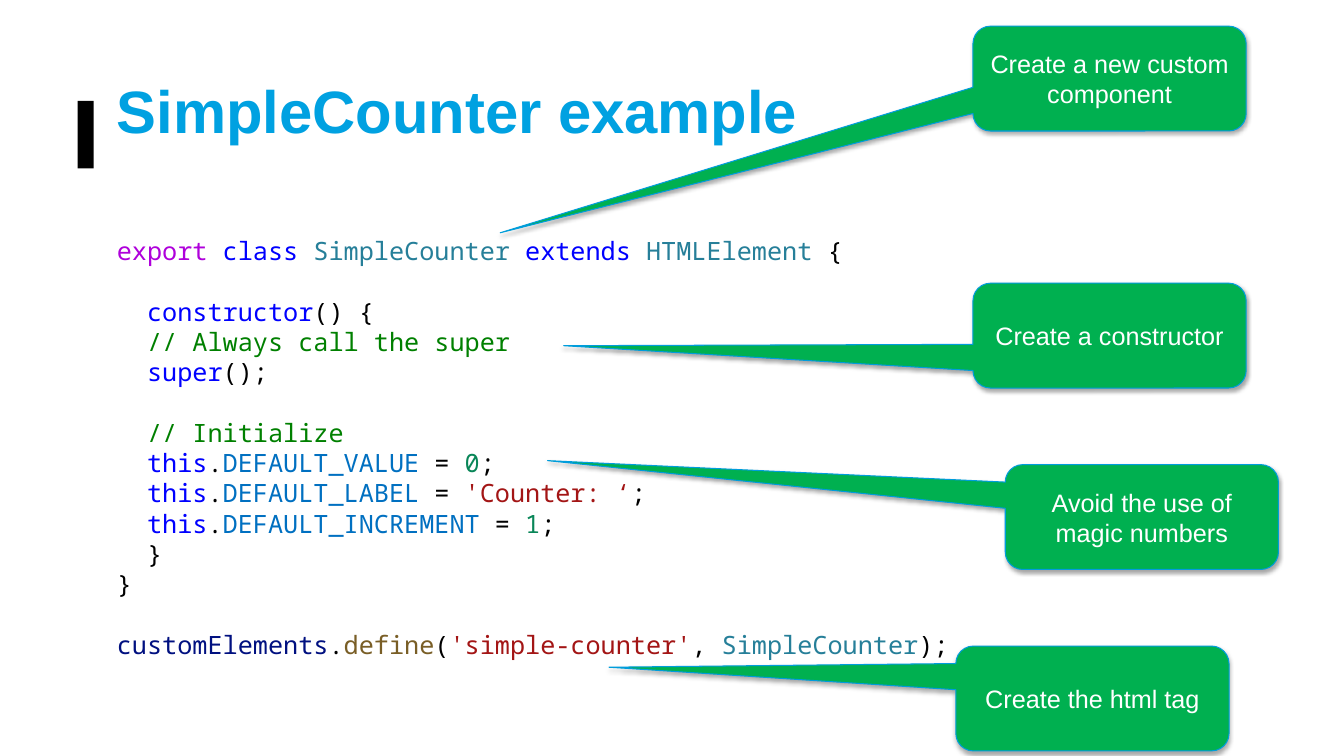
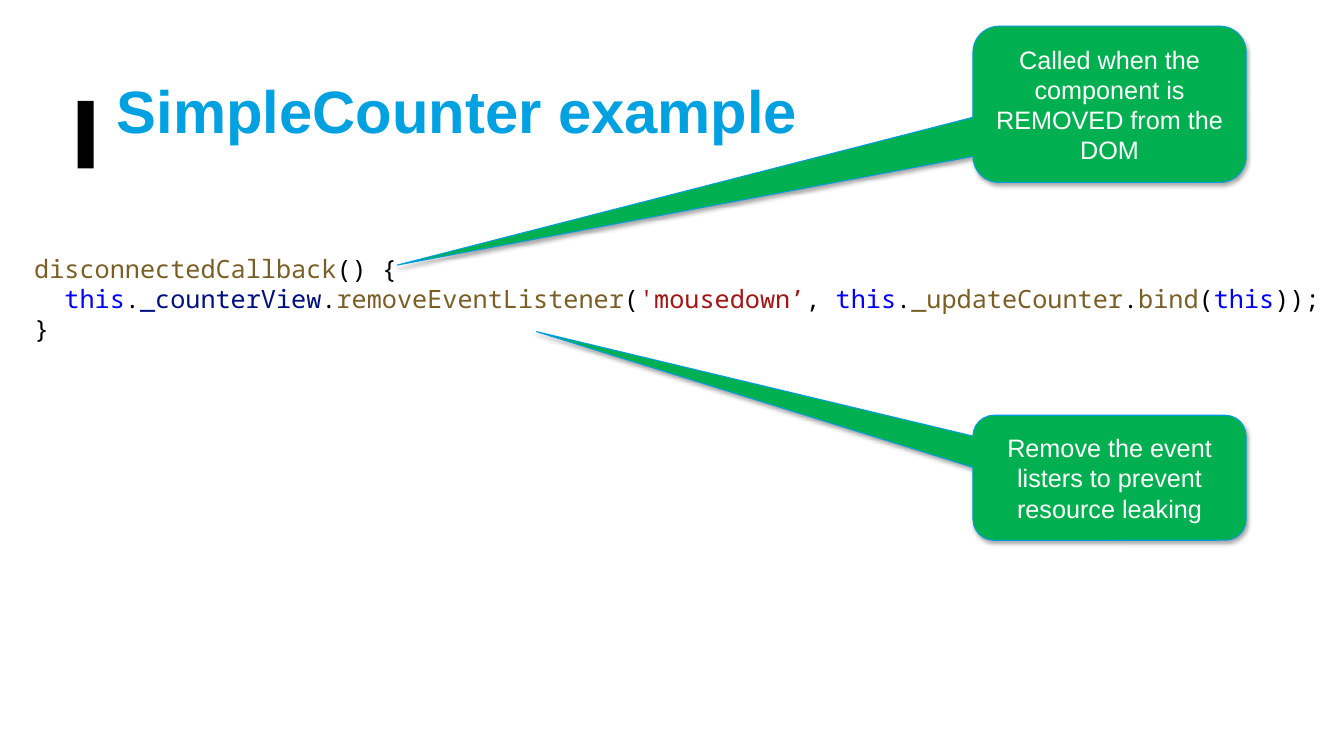
from lxml.etree import SubElement
from pptx import Presentation
from pptx.dml.color import RGBColor
from pptx.enum.shapes import MSO_SHAPE
from pptx.enum.text import MSO_ANCHOR, PP_ALIGN
from pptx.oxml.ns import qn
from pptx.util import Inches, Pt

COLORS = {
    "title": "00A1E1", "bar": "000000", "callout": "00B050", "outline": "009DDC",
    "label": "FFFFFF", "shadow": "000000",
    "plain": "000000", "export": "AF00DB", "keyword": "0000FF", "type": "267F99",
    "comment": "008000", "constant": "0070C1", "number": "098658",
    "string": "A31515", "variable": "001080", "function": "795E26",
}
INDENT = Inches(0.3)
BLANK_LINE = Pt(21.6)
CALLOUT_WIDTH = 2.71


def fill_text(box, lines, size=18, font="Arial", bold=False,
              align=PP_ALIGN.LEFT, anchor=MSO_ANCHOR.MIDDLE):
    """Write lines of (indent depth, blank lines before, [(text, color name), ...])."""
    frame = box.text_frame
    frame.word_wrap = True
    frame.vertical_anchor = anchor
    for number, (depth, blanks, spans) in enumerate(lines):
        para = frame.add_paragraph() if number else frame.paragraphs[0]
        para.alignment = align
        para.space_before = blanks * BLANK_LINE
        para._p.get_or_add_pPr().set("marL", str(depth * INDENT))
        for text, color in spans:
            span = para.add_run()
            span.text = text
            span.font.name = font
            span.font.size = Pt(size)
            span.font.bold = bold
            span.font.color.rgb = RGBColor.from_string(COLORS[color])


def add_filled_shape(page, preset, left, top, width, height, color):
    shape = page.shapes.add_shape(
        preset, Inches(left), Inches(top), Inches(width), Inches(height))
    shape.shadow.inherit = False
    shape.fill.solid()
    shape.fill.fore_color.rgb = RGBColor.from_string(COLORS[color])
    shape.line.fill.background()
    return shape


def default_line(name, value, kind):
    return (1, 0, [("this", "keyword"), (".", "plain"), (name, "constant"),
                   (" = ", "plain"), (value, kind), (";", "plain")])


class_code = [
    (0, 0, [("export ", "export"), ("class ", "keyword"), ("SimpleCounter ", "type"),
            ("extends ", "keyword"), ("HTMLElement", "type"), (" {", "plain")]),
    (1, 1, [("constructor", "keyword"), ("() {", "plain")]),
    (1, 0, [("// Always call the super", "comment")]),
    (1, 0, [("super", "keyword"), ("();", "plain")]),
    (1, 1, [("// Initialize", "comment")]),
    default_line("DEFAULT_VALUE", "0", "number"),
    default_line("DEFAULT_LABEL", "'Counter: ‘", "string"),
    default_line("DEFAULT_INCREMENT", "1", "number"),
    (1, 0, [("}", "plain")]),
    (0, 0, [("}", "plain")]),
    (0, 1, [("customElements", "variable"), (".", "plain"), ("define", "function"),
            ("(", "plain"), ("'simple-counter'", "string"), (", ", "plain"),
            ("SimpleCounter", "type"), (");", "plain")]),
]
disconnect_code = [
    (0, 0, [("disconnectedCallback", "function"), ("() {", "plain")]),
    (1, 0, [("this", "keyword"), (".", "plain"), ("_counterView", "variable"),
            (".", "plain"), ("removeEventListener", "function"), ("(", "plain"),
            ("'mousedown’", "string"), (", ", "plain"), ("this", "keyword"),
            (".", "plain"), ("_updateCounter", "function"), (".", "plain"),
            ("bind", "function"), ("(", "plain"), ("this", "keyword"), ("));", "plain")]),
    (0, 0, [("}", "plain")]),
]

# Each page: code, code box, callouts of (text, left, top, height, tip x, tip y)
pages = [
    (class_code, (1.06, 2.29, 8.59, 4.64), [
        ("Create a new custom component", 9.65, 0.26, 1.04, 4.96, 2.31),
        ("Create a constructor", 9.65, 2.81, 1.04, 5.59, 3.43),
        ("Avoid the use of magic numbers", 9.97, 4.61, 1.04, 5.43, 4.57),
        ("Create the html tag", 9.48, 6.41, 1.04, 6.04, 6.62),
    ]),
    (disconnect_code, (0.24, 2.46, 13.09, 1.01), [
        ("Called when the component is REMOVED from the DOM", 9.65, 0.26, 1.55, 3.94, 2.63),
        ("Remove the event listers to prevent resource leaking", 9.65, 4.12, 1.24, 5.32, 3.29),
    ]),
]

deck = Presentation()
deck.slide_width = Inches(13.33)
deck.slide_height = Inches(7.5)

for code, code_area, callouts in pages:
    page = deck.slides.add_slide(deck.slide_layouts[6])
    add_filled_shape(page, MSO_SHAPE.RECTANGLE, 0.77, 1, 0.16, 0.67, "bar")

    title_box = page.shapes.add_textbox(Inches(1.06), Inches(0.36), Inches(10.85), Inches(1.45))
    fill_text(title_box, [(0, 0, [("SimpleCounter example", "title")])], size=42.7, bold=True)

    code_box = page.shapes.add_textbox(*[Inches(length) for length in code_area])
    fill_text(code_box, code, font="Noto Sans Mono", anchor=MSO_ANCHOR.TOP)

    for text, left, top, height, tip_x, tip_y in callouts:
        callout = add_filled_shape(page, MSO_SHAPE.ROUNDED_RECTANGULAR_CALLOUT,
                                   left, top, CALLOUT_WIDTH, height, "callout")
        callout.adjustments[0] = (tip_x - left) / CALLOUT_WIDTH - 0.5
        callout.adjustments[1] = (tip_y - top) / height - 0.5
        callout.line.color.rgb = RGBColor.from_string(COLORS["outline"])
        callout.line.width = Pt(0.75)
        effects = callout._element.spPr.find(qn("a:effectLst"))
        shadow = SubElement(effects, qn("a:outerShdw"), blurRad=str(Pt(3.1)),
                            dist=str(Pt(1.8)), dir="5400000", rotWithShape="0")
        shade = SubElement(shadow, qn("a:srgbClr"), val=COLORS["shadow"])
        SubElement(shade, qn("a:alpha"), val="35000")
        fill_text(callout, [(0, 0, [(text, "label")])], align=PP_ALIGN.CENTER)

deck.save("out.pptx")
